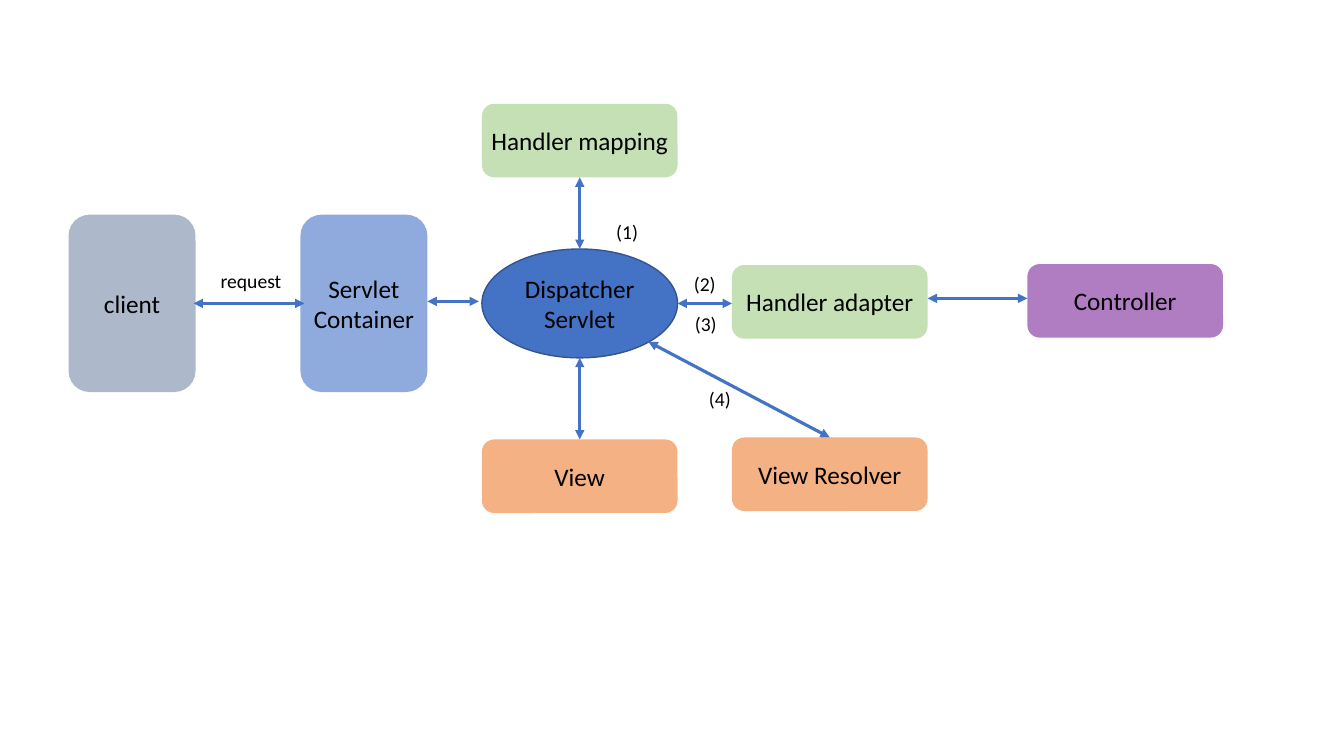
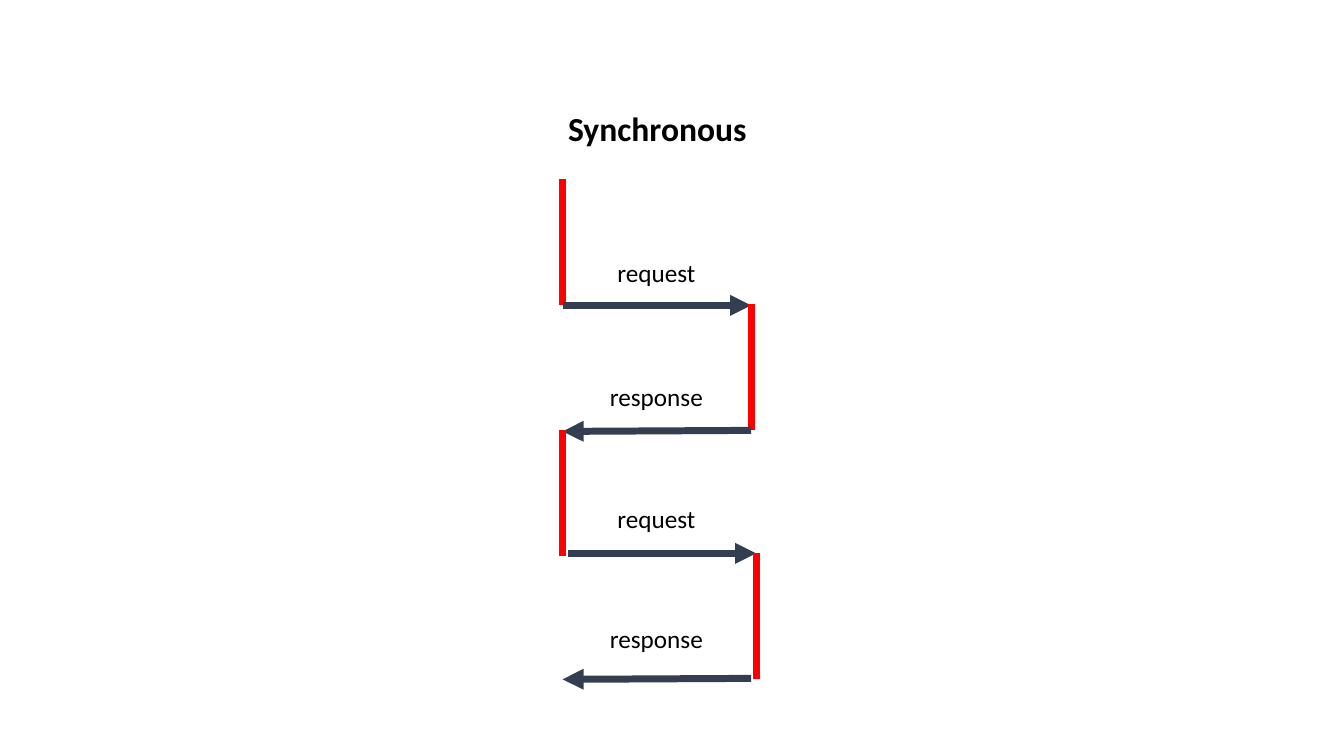
"""Build two diagram slides: a servlet request flow and a synchronous exchange."""
from lxml import etree
from pptx import Presentation
from pptx.dml.color import RGBColor
from pptx.enum.shapes import MSO_CONNECTOR, MSO_SHAPE
from pptx.enum.text import MSO_ANCHOR, PP_ALIGN
from pptx.oxml.ns import qn
from pptx.util import Inches, Pt

STRAIGHT = MSO_CONNECTOR.STRAIGHT
ROUNDED, OVAL = MSO_SHAPE.ROUNDED_RECTANGLE, MSO_SHAPE.OVAL
CENTER, MIDDLE = PP_ALIGN.CENTER, MSO_ANCHOR.MIDDLE

FONT = "Calibri"
COLORS = {
    "text": "000000", "client": "ADB9CA", "container": "8FAADC",
    "dispatcher": "4472C4", "outline": "325491", "handler": "C5E0B4",
    "view": "F4B183", "controller": "B07DC3", "link": "4472C4",
    "wait": "FF0000", "message": "333F50",
}

TALL, WIDE, ROUND = (1.26, 1.76), (1.94, 0.73), (1.94, 1.08)
NODES = [
    ("client", "client", 0.68, 2.13, TALL),
    ("Servlet\nContainer", "container", 2.98, 2.13, TALL),
    ("Dispatcher\nServlet", "dispatcher", 4.78, 2.47, ROUND),
    ("Handler mapping", "handler", 4.78, 1.03, WIDE),
    ("Handler adapter", "handler", 7.26, 2.63, WIDE),
    ("View", "view", 4.78, 4.36, WIDE),
    ("View Resolver", "view", 7.26, 4.34, WIDE),
    ("Controller", "controller", 10.19, 2.62, WIDE),
]
LINKS = [
    ((1.92, 3.01), (3.02, 3.01)),
    ((4.24, 2.99), (4.75, 2.99)),
    ((5.75, 1.76), (5.75, 2.47)),
    ((6.72, 3.01), (7.26, 3.01)),
    ((5.75, 3.55), (5.75, 4.36)),
    ((6.43, 3.39), (8.23, 4.34)),
    ((9.2, 2.96), (10.19, 2.96)),
]
LINK_LABELS = [
    ("request", 2.06, 2.62, 0.86),
    ("(1)", 5.86, 2.13, 0.72),
    ("(2)", 6.63, 2.65, 0.72),
    ("(3)", 6.64, 3.05, 0.72),
    ("(4)", 6.78, 3.79, 0.72),
]

CALLER, SERVER, LATE_SERVER = 5.58, 7.45, 7.5
WAIT_LENGTH = 1.25
EXCHANGE = [
    ((CALLER, 1.78), "request", (CALLER, 3.03), (SERVER, 3.03), 2.5),
    ((SERVER, 3.02), "response", (SERVER, 4.27), (CALLER, 4.28), 3.73),
    ((CALLER, 4.27), "request", (5.63, 5.49), (LATE_SERVER, 5.49), 4.94),
    ((LATE_SERVER, 5.49), "response", (SERVER, 6.73), (CALLER, 6.74), 6.13),
]


def rgb(name):
    return RGBColor.from_string(COLORS[name])


def write(frame, text, size, bold=False):
    frame.word_wrap = True
    for index, line in enumerate(text.split("\n")):
        para = frame.add_paragraph() if index else frame.paragraphs[0]
        para.text = line
        para.alignment = CENTER
        para.font.name = FONT
        para.font.size = Pt(size)
        para.font.bold = bold
        para.font.color.rgb = rgb("text")


def add_label(page, text, left, top, width, height, size, bold=False):
    box = page.shapes.add_textbox(*map(Inches, (left, top, width, height)))
    write(box.text_frame, text, size, bold)


def add_node(page, text, color, left, top, size):
    is_dispatcher = color == "dispatcher"
    node = page.shapes.add_shape(OVAL if is_dispatcher else ROUNDED,
                                 *map(Inches, (left, top, *size)))
    node.shadow.inherit = False
    node.fill.solid()
    node.fill.fore_color.rgb = rgb(color)
    if is_dispatcher:
        node.line.color.rgb = rgb("outline")
        node.line.width = Pt(1)
    else:
        node.line.fill.background()
    frame = node.text_frame
    frame.margin_left = frame.margin_right = 0
    frame.vertical_anchor = MIDDLE
    write(frame, text, 18)


def add_line(page, start, end, color, width, arrows=()):
    line = page.shapes.add_connector(STRAIGHT, *map(Inches, start + end))
    line.line.color.rgb = rgb(color)
    line.line.width = Pt(width)
    outline = line.line._get_or_add_ln()
    for arrow in arrows:
        etree.SubElement(outline, qn(f"a:{arrow}"), type="triangle")
    etree.SubElement(line._element.spPr, qn("a:effectLst"))


def build_servlet_flow(page):
    for node in NODES:
        add_node(page, *node)
    for start, end in LINKS:
        add_line(page, start, end, "link", 2.25, ("headEnd", "tailEnd"))
    for text, left, top, width in LINK_LABELS:
        add_label(page, text, left, top, width, 0.34, 14)


def build_synchronous(page):
    add_label(page, "Synchronous", 5.41, 1.02, 2.22, 0.5, 24, True)
    for wait, text, start, end, label_top in EXCHANGE:
        wait_end = (wait[0], wait[1] + WAIT_LENGTH)
        add_line(page, wait, wait_end, "wait", 5)
        add_line(page, start, end, "message", 5, ("tailEnd",))
        add_label(page, text, 5.8, label_top, 1.42, 0.42, 18)


def main():
    deck = Presentation()
    deck.slide_width, deck.slide_height = Inches(13.33), Inches(7.5)
    for build in (build_servlet_flow, build_synchronous):
        build(deck.slides.add_slide(deck.slide_layouts[6]))
    deck.save("out.pptx")


if __name__ == "__main__":
    main()
